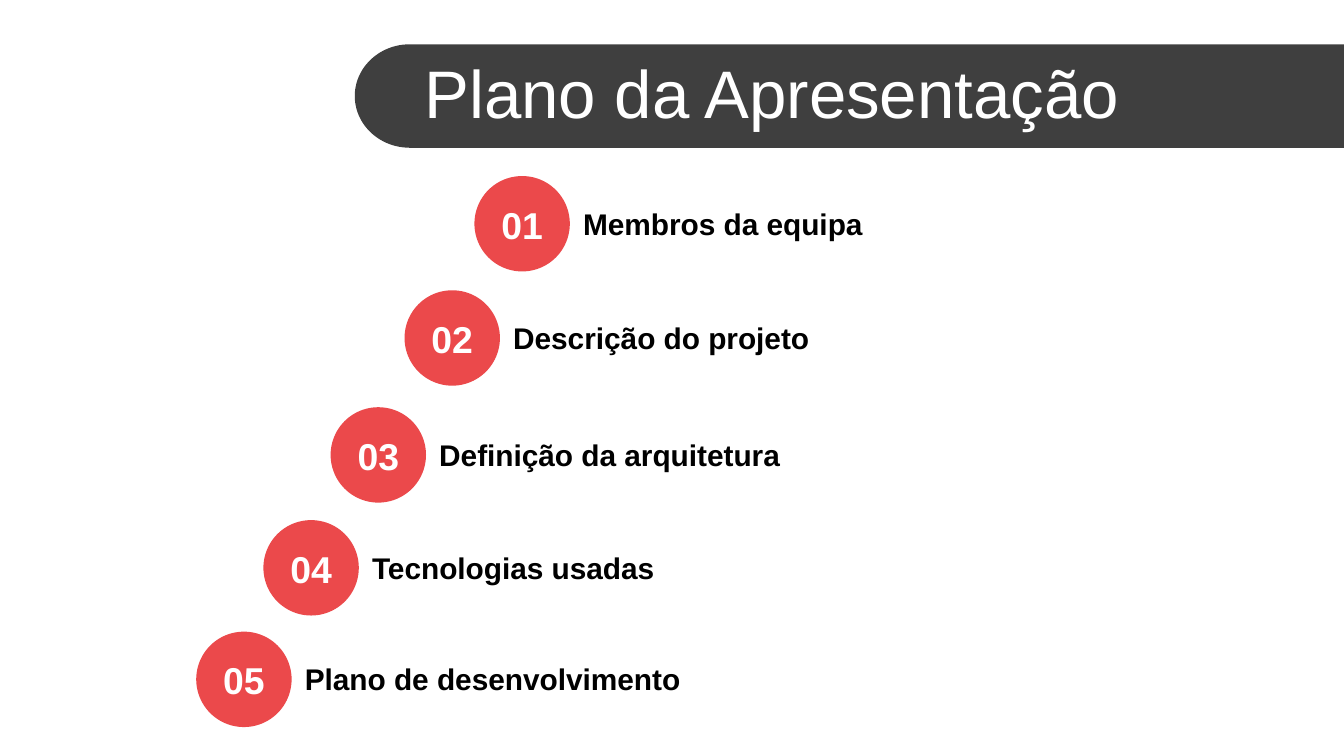
from dataclasses import dataclass
from math import cos, pi, sin

from pptx import Presentation
from pptx.dml.color import RGBColor
from pptx.enum.shapes import MSO_SHAPE
from pptx.enum.text import MSO_ANCHOR, PP_ALIGN
from pptx.util import Inches, Pt


@dataclass(frozen=True)
class Theme:
    font: str = "Arial"
    dark: RGBColor = RGBColor(0x3F, 0x3F, 0x3F)
    red: RGBColor = RGBColor(0xEB, 0x49, 0x4B)
    white: RGBColor = RGBColor(0xFF, 0xFF, 0xFF)
    black: RGBColor = RGBColor(0, 0, 0)
    title: int = 36
    number: int = 20
    label: int = 16


THEME = Theme()
WIDTH = 10
HEIGHT = WIDTH * 9 / 16
DISC = 0.71
ITEMS = [
    ("Membros da equipa", 3.53, 1.31),
    ("Descrição do projeto", 3.01, 2.16),
    ("Definição da arquitetura", 2.46, 3.03),
    ("Tecnologias usadas", 1.96, 3.87),
    ("Plano de desenvolvimento", 1.46, 4.7),
]


def paint(shape, color):
    shape.shadow.inherit = False
    shape.fill.solid()
    shape.fill.fore_color.rgb = color
    shape.line.fill.background()


def add_text(slide, text, box, size, color, bold=True,
             align=PP_ALIGN.LEFT, anchor=MSO_ANCHOR.MIDDLE):
    frame = slide.shapes.add_textbox(*map(Inches, box)).text_frame
    frame.word_wrap = True
    frame.vertical_anchor = anchor
    line = frame.paragraphs[0]
    line.alignment = align
    run = line.add_run()
    run.text = text
    font = run.font
    font.name, font.size, font.bold = THEME.font, Pt(size), bold
    font.color.rgb = color


def add_banner(slide, left, top, height, curve, steps=48):
    """Draw a bar with a half-ellipse left end that runs to the slide edge."""
    half = height / 2
    angles = [pi * i / steps for i in range(steps + 1)]
    arc = [(left + curve * (1 - sin(a)), top + half * (1 + cos(a)))
           for a in angles]
    points = [(Inches(x), Inches(y)) for x, y in [(WIDTH, top + height)] + arc]
    form = slide.shapes.build_freeform(Inches(WIDTH), Inches(top))
    form.add_line_segments(points, close=True)
    paint(form.convert_to_shape(), THEME.dark)


def add_disc(slide, left, top):
    disc = slide.shapes.add_shape(
        MSO_SHAPE.OVAL, *map(Inches, (left, top, DISC, DISC)))
    paint(disc, THEME.red)


def add_item(slide, number, label, left, top):
    add_disc(slide, left, top)
    add_text(slide, label, (left + DISC, top + 0.17, 5.44, 0.37),
             THEME.label, THEME.black, anchor=MSO_ANCHOR.TOP)
    add_text(slide, f"{number:02}", (left, top + 0.14, DISC, 0.44),
             THEME.number, THEME.white, align=PP_ALIGN.CENTER)


def main():
    deck = Presentation()
    deck.slide_width, deck.slide_height = Inches(WIDTH), Inches(HEIGHT)
    slide = deck.slides.add_slide(deck.slide_layouts[6])
    add_banner(slide, left=2.64, top=0.33, height=0.77, curve=0.41)
    add_text(slide, "Plano da Apresentação", (3.06, 0.37, 6.94, 0.63),
             THEME.title, THEME.white, bold=False)
    for number, (label, left, top) in enumerate(ITEMS, 1):
        add_item(slide, number, label, left, top)
    deck.save("out.pptx")


if __name__ == "__main__":
    main()
